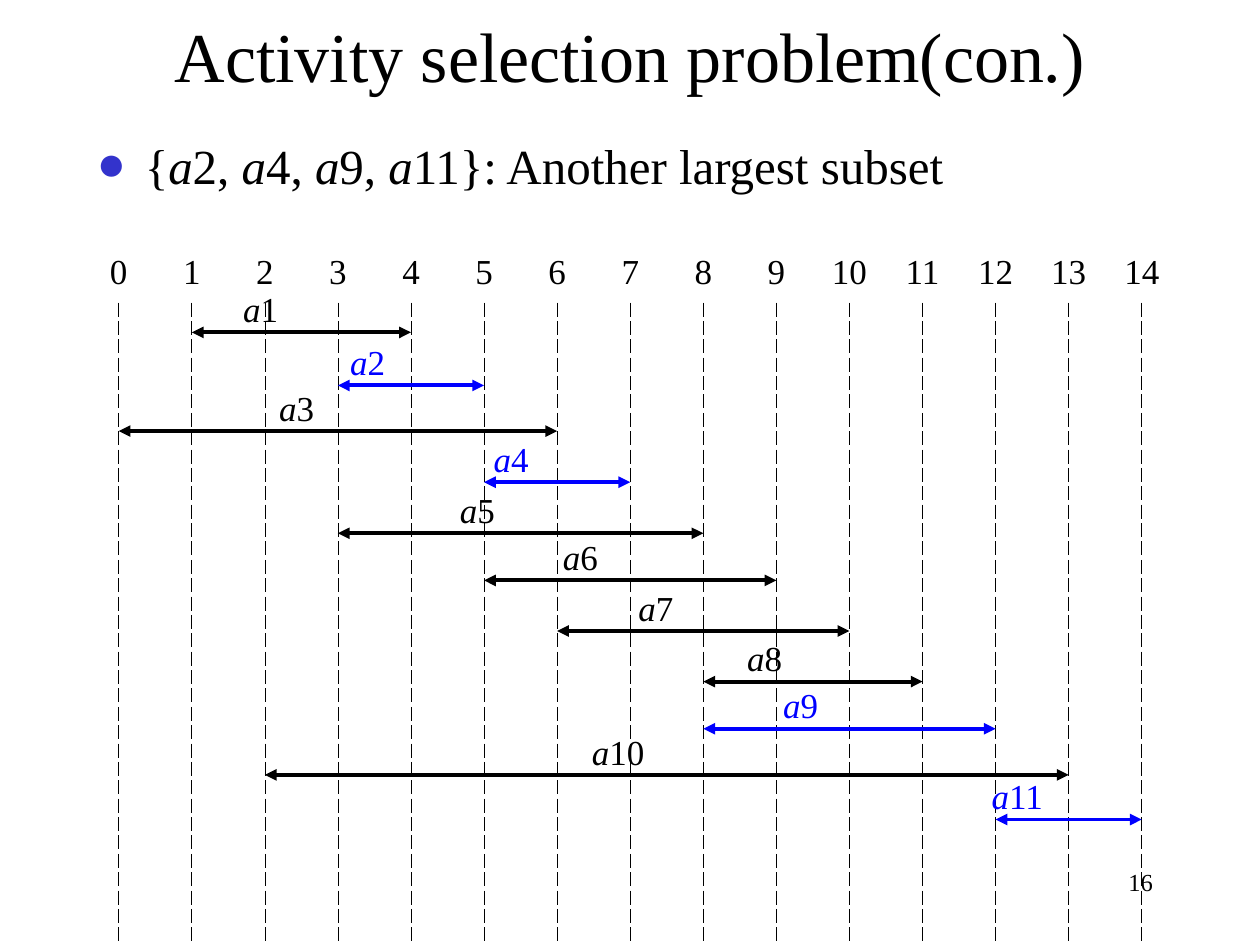
import lxml.etree
import pptx
import pptx.dml.color
import pptx.enum.shapes
import pptx.enum.text
import pptx.oxml.ns
import pptx.util

Cm = pptx.util.Cm
Pt = pptx.util.Pt
Align = pptx.enum.text.PP_ALIGN
Anchor = pptx.enum.text.MSO_ANCHOR

COLORS = {"ink": "000000", "chosen": "0000FF", "bullet": "3333CC"}
FONT = "Times New Roman"

# Time grid, in centimetres
GRID_LEFT, GRID_TOP, GRID_WIDTH = 0.92, 4.98, 23.57
COLUMNS, ROWS = 16, 12
COLUMN = GRID_WIDTH / COLUMNS
HEADER_HEIGHT, ROW_HEIGHT = 1.12, 1.17
CELL_MARGIN = 0.25
LABEL_RISE = 1.04

# Start time, finish time, arrow height, label left
ACTIVITIES = [
    (1, 4, 6.7, 4.65),
    (3, 5, 7.77, 6.81),
    (0, 6, 8.69, 5.38),
    (5, 7, 9.72, 9.7),
    (3, 8, 10.75, 9.02),
    (5, 9, 11.7, 11.1),
    (6, 10, 12.72, 12.62),
    (8, 11, 13.74, 14.81),
    (8, 12, 14.69, 15.54),
    (2, 13, 15.62, 11.68),
    (12, 14, 16.52, 19.74),
]
CHOSEN = (2, 4, 9, 11)


def add_xml(parent, tag, **attributes):
    return lxml.etree.SubElement(parent, pptx.oxml.ns.qn(tag), attributes)


def time_x(time):
    return GRID_LEFT + COLUMN * (time + 1)


class SlideBuilder:
    def __init__(self, slide):
        self.shapes = slide.shapes

    def add_spans(self, para, spans, size, color="ink"):
        """Add (wording, italic) spans to a paragraph."""
        for wording, italic in spans:
            span = para.add_run()
            span.text = wording
            style = {"name": FONT, "size": Pt(size), "italic": italic}
            for name, value in style.items():
                setattr(span.font, name, value)
            span.font.color.rgb = pptx.dml.color.RGBColor.from_string(COLORS[color])

    def text(self, place, spans, size, color="ink", anchor=Anchor.TOP, **layout):
        box = self.shapes.add_textbox(*map(Cm, place))
        frame = box.text_frame
        frame.word_wrap = True
        frame.vertical_anchor = anchor
        para = frame.paragraphs[0]
        for name, value in layout.items():
            setattr(para, name, value)
        self.add_spans(para, spans, size, color)
        return para

    def bullet(self, place, spans, size):
        para = self.text(place, spans, size)
        properties = para._p.get_or_add_pPr()
        properties.set("marL", str(Cm(0.97)))
        properties.set("indent", str(-Cm(0.97)))
        add_xml(add_xml(properties, "a:buClr"), "a:srgbClr", val=COLORS["bullet"])
        add_xml(properties, "a:buFont", typeface=FONT)
        add_xml(properties, "a:buChar", char="●")

    def arrow(self, start, finish, y, color):
        line = self.shapes.add_connector(
            pptx.enum.shapes.MSO_CONNECTOR.STRAIGHT,
            Cm(time_x(start)), Cm(y), Cm(time_x(finish)), Cm(y))
        line.line.width = Pt(2.25)
        line.line.color.rgb = pptx.dml.color.RGBColor.from_string(COLORS[color])
        outline = line.line._get_or_add_ln()
        for end in ("a:headEnd", "a:tailEnd"):
            add_xml(outline, end, type="triangle")
        add_xml(line._element.spPr, "a:effectLst")

    def borders(self, cell, dashed_sides):
        properties = cell._tc.get_or_add_tcPr()
        for position, side in enumerate("LRTB"):
            border = add_xml(properties, f"a:ln{side}", w=str(Pt(0.45)))
            if side in dashed_sides:
                fill = add_xml(border, "a:solidFill")
                add_xml(fill, "a:srgbClr", val=COLORS["ink"])
                add_xml(border, "a:prstDash", val="dash")
            else:
                add_xml(border, "a:noFill")
            properties.insert(position, border)

    def time_grid(self):
        height = HEADER_HEIGHT + ROW_HEIGHT * (ROWS - 1)
        table = self.shapes.add_table(
            ROWS, COLUMNS, Cm(GRID_LEFT), Cm(GRID_TOP), Cm(GRID_WIDTH), Cm(height)).table
        table.first_row = table.horz_banding = False
        for column in table.columns:
            column.width = Cm(COLUMN)
        for index, row in enumerate(table.rows):
            row.height = Cm(ROW_HEIGHT if index else HEADER_HEIGHT)
            for number, cell in enumerate(row.cells):
                cell.fill.background()
                sides = ("L" if number else "") + ("R" if number < COLUMNS - 1 else "")
                self.borders(cell, sides if index else "")

        # Time marks, each centred over its dashed line
        header = table.cell(0, 0)
        header.merge(table.cell(0, COLUMNS - 1))
        header.margin_left = Cm(CELL_MARGIN)
        para = header.text_frame.paragraphs[0]
        tabs = add_xml(para._p.get_or_add_pPr(), "a:tabLst")
        times = range(COLUMNS - 1)
        for time in times:
            stop = Cm(COLUMN * (time + 1) - CELL_MARGIN)
            add_xml(tabs, "a:tab", pos=str(stop), algn="ctr")
        self.add_spans(para, [("".join(f"\t{time}" for time in times), False)], 20)


def main():
    deck = pptx.Presentation()
    deck.slide_width, deck.slide_height = Cm(25.4), Cm(19.05)
    page = SlideBuilder(deck.slides.add_slide(deck.slide_layouts[6]))

    # Page number and title
    page.text((18.21, 17.35, 5.28, 1.27), [("16", False)], 14, alignment=Align.RIGHT)
    page.text((1.27, 0, 22.86, 2.41), [("Activity selection problem(con.)", False)], 40,
              anchor=Anchor.MIDDLE, alignment=Align.CENTER, line_spacing=0.9)

    # Activities on the time grid
    page.time_grid()
    for number, (start, finish, y, label_left) in enumerate(ACTIVITIES, 1):
        color = "chosen" if number in CHOSEN else "ink"
        page.arrow(start, finish, y, color)
        page.text((label_left, y - LABEL_RISE, 3.12, 1.12),
                  [("a", True), (str(number), False)], 20, color, Anchor.MIDDLE)

    # Chosen subset
    spans = [("{", False)]
    for number in CHOSEN:
        ending = "}: Another largest subset" if number == CHOSEN[-1] else ", "
        spans += [("a", True), (f"{number}{ending}", False)]
    page.bullet((1.7, 2.6, 22.61, 1.45), spans, 28)

    deck.save("out.pptx")


if __name__ == "__main__":
    main()
